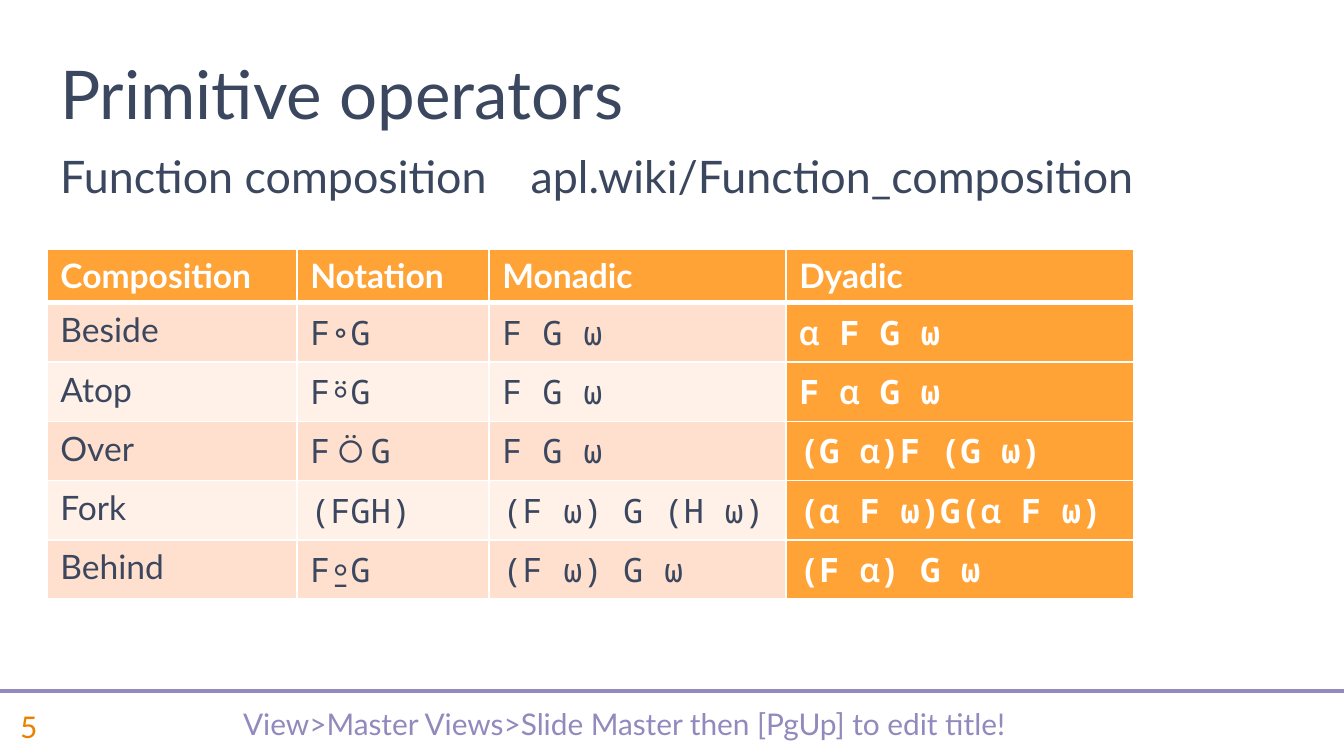
from typing import NamedTuple

from lxml import etree
from pptx import Presentation
from pptx.dml.color import RGBColor
from pptx.enum.shapes import MSO_CONNECTOR
from pptx.enum.text import MSO_ANCHOR, PP_ALIGN
from pptx.oxml.ns import qn
from pptx.util import Pt

TOP, MID, LOW = MSO_ANCHOR.TOP, MSO_ANCHOR.MIDDLE, MSO_ANCHOR.BOTTOM
LEFT, CENTER = PP_ALIGN.LEFT, PP_ALIGN.CENTER
STRAIGHT = MSO_CONNECTOR.STRAIGHT

SCALE = 914400 / 134.4
SANS, MONO = "Lato", "Noto Sans Mono"
INK, WHITE, ORANGE, LILAC = "3B475E", "FFFFFF", "FFA336", "928ABD"
BANDS = ["FFE0CE", "FFF0E8"]
WIDTHS = [250, 192, 297, 348]
ROW = 54
RULE = 691


class Label(NamedTuple):
    text: str
    x: int
    y: int
    w: int
    h: int
    size: int
    color: str = INK
    anchor: str = TOP
    align: str = LEFT
    lines: float = 1.0


LABELS = [
    Label("View>Master Views>Slide Master then [PgUp] to edit title!",
          105, 697, 1039, 59, 16, LILAC, MID, CENTER, 0.8),
    Label("5", 7, 697, 98, 59, 16, "ED7F00", MID),
    Label("Function composition\tapl.wiki/Function_composition",
          47, 148, 1263, 63, 24, lines=0.9),
    Label("Primitive operators", 47, 39, 1030, 101, 36, anchor=LOW),
]

ROWS = [
    ("Composition", "Notation", "Monadic", "Dyadic"),
    ("Beside", "F∘G", "F G ⍵", "⍺ F G ⍵"),
    ("Atop", "F⍤G", "F G ⍵", "F ⍺ G ⍵"),
    ("Over", "F⍥G", "F G ⍵", "(G ⍺)F (G ⍵)"),
    ("Fork", "(FGH)", "(F ⍵) G (H ⍵)", "(⍺ F ⍵)G(⍺ F ⍵)"),
    ("Behind", "F⍛G", "(F ⍵) G ⍵", "(F ⍺) G ⍵"),
]


def px(n: int) -> int:
    return round(n * SCALE)


def rgb(code: str) -> RGBColor:
    return RGBColor.from_string(code)


def write(frame, text: str, *, size: int, color: str = INK, font: str = SANS,
          bold: bool = False, align=LEFT, lines: float = 1.0) -> None:
    para = frame.paragraphs[0]
    para.alignment = align
    para.line_spacing = lines
    run = para.add_run()
    run.text = text
    run.font.name = font
    run.font.size = Pt(size)
    run.font.bold = bold
    run.font.color.rgb = rgb(color)


def draw_label(slide, item: Label) -> None:
    box = slide.shapes.add_textbox(px(item.x), px(item.y), px(item.w), px(item.h))
    frame = box.text_frame
    frame.word_wrap = True
    frame.vertical_anchor = item.anchor
    write(frame, item.text, size=item.size, color=item.color,
          align=item.align, lines=item.lines)


def draw_rule(slide) -> None:
    rule = slide.shapes.add_connector(STRAIGHT, 0, px(RULE), px(1344), px(RULE))
    rule.line.color.rgb = rgb(LILAC)
    rule.line.width = Pt(2.25)
    etree.SubElement(rule._element.spPr, qn("a:effectLst"))


def edge(cell, side: str, width: int) -> None:
    props = cell._tc.get_or_add_tcPr()
    line = etree.SubElement(props, qn(f"a:ln{side}"), w=str(Pt(width)))
    fill = etree.SubElement(line, qn("a:solidFill"))
    etree.SubElement(fill, qn("a:srgbClr"), val=WHITE)


def draw_cell(cell, text: str, row: int, col: int) -> None:
    head = row == 0
    strong = head or col == len(WIDTHS) - 1
    edge(cell, "L", 1)
    edge(cell, "R", 1)
    edge(cell, "T", 3 if row == 1 else 1)
    edge(cell, "B", 3 if head else 1)
    cell.fill.solid()
    cell.fill.fore_color.rgb = rgb(ORANGE if strong else BANDS[(row - 1) % 2])
    write(cell.text_frame, text, size=18, bold=strong,
          color=WHITE if strong else INK,
          font=SANS if head or col == 0 else MONO)


def draw_table(slide) -> None:
    table = slide.shapes.add_table(len(ROWS), len(WIDTHS), px(47), px(249),
                                   px(sum(WIDTHS)), px(ROW * len(ROWS))).table
    for col, width in zip(table.columns, WIDTHS):
        col.width = px(width)
    for r, texts in enumerate(ROWS):
        table.rows[r].height = px(ROW)
        for c, text in enumerate(texts):
            draw_cell(table.cell(r, c), text, r, c)


def main() -> None:
    deck = Presentation()
    deck.slide_width, deck.slide_height = px(1344), px(756)
    slide = deck.slides.add_slide(deck.slide_layouts[6])
    draw_rule(slide)
    draw_table(slide)
    for item in LABELS:
        draw_label(slide, item)
    deck.save("out.pptx")


if __name__ == "__main__":
    main()
